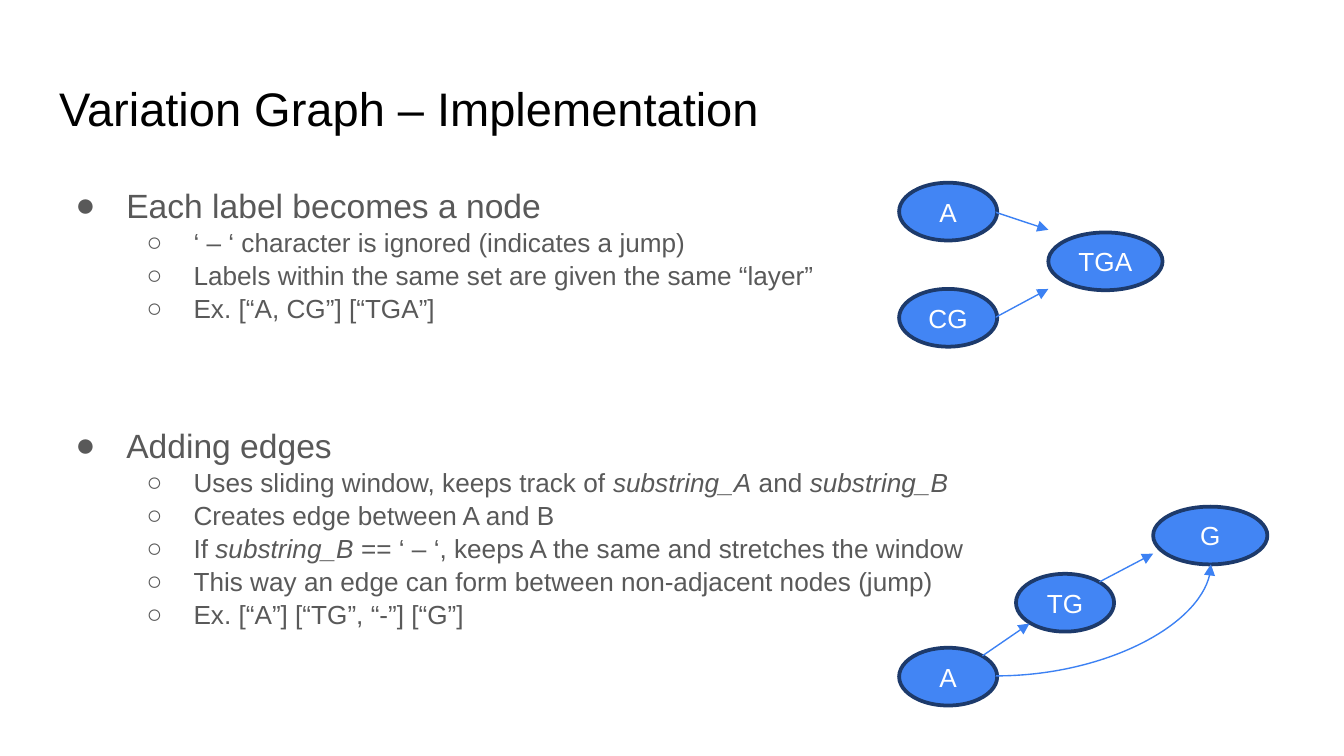
"""Build the slide on implementing a variation graph."""
from typing import NamedTuple

from pptx import Presentation
from pptx.dml.color import RGBColor
from pptx.enum.shapes import MSO_CONNECTOR as Conn, MSO_SHAPE as Geom
from pptx.enum.text import MSO_ANCHOR as Anchor, MSO_AUTO_SIZE as Fit, PP_ALIGN as Align
from pptx.oxml.ns import qn
from pptx.oxml.xmlchemy import OxmlElement
from pptx.util import Inches, Pt

NODE_HEIGHT = 0.43


class Node(NamedTuple):
    label: str
    left: float
    top: float
    width: float = 0.73


class Edge(NamedTuple):
    x1: float
    y1: float
    x2: float
    y2: float
    curved: bool = False


class Topic(NamedTuple):
    title: str
    points: list[str]
    before: float = 0


class Level(NamedTuple):
    bullet: str
    size: float
    margin: float
    hanging: float


LEVELS = [Level("●", 18, 0.5, 0.38), Level("○", 14, 1, 0.35)]

TOPICS = [
    Topic("Each label becomes a node", [
        "‘ – ‘ character is ignored (indicates a jump)",
        "Labels within the same set are given the same “layer”",
        "Ex. [“A, CG”] [“TGA”]",
    ]),
    Topic("Adding edges", [
        "Uses sliding window, keeps track of *substring_A* and *substring_B*",
        "Creates edge between A and B",
        "If *substring_B* == ‘ – ‘, keeps A the same and stretches the window",
        "This way an edge can form between non-adjacent nodes (jump)",
        "Ex. [“A”] [“TG”, “-”] [“G”]",
    ], before=53),
]

NODES = [
    Node("A", 6.69, 4.82), Node("TG", 7.56, 4.27), Node("G", 8.58, 3.77, 0.85),
    Node("A", 6.69, 1.36), Node("CG", 6.69, 2.15), Node("TGA", 7.8, 1.73, 0.85),
]

EDGES = [
    Edge(7.31, 4.88, 7.66, 4.64), Edge(8.18, 4.33, 8.58, 4.12),
    Edge(7.41, 1.58, 7.8, 1.71), Edge(7.41, 2.36, 7.8, 2.15),
    Edge(7.41, 5.03, 9.01, 4.2, curved=True),
]


def apply(target, **values) -> None:
    """Set each named attribute of the target."""
    for name, value in values.items():
        setattr(target, name, value)


def paint(color_format, color: str) -> None:
    """Give a colour format an RGB hex colour."""
    color_format.rgb = RGBColor.from_string(color)


def add_run(p, text: str, size: float, color: str, italic: bool = False) -> None:
    """Append a formatted run to a paragraph."""
    r = p.add_run()
    r.text = text
    apply(r.font, name="Arial", size=Pt(size), italic=italic)
    paint(r.font.color, color)


def place(sp, left: float, top: float, width: float, height: float, anchor):
    """Move a placeholder and return its prepared text frame."""
    box = dict(left=left, top=top, width=width, height=height)
    apply(sp, **{name: Inches(value) for name, value in box.items()})
    tf = sp.text_frame
    sides = ("margin_left", "margin_top", "margin_right", "margin_bottom")
    apply(tf, auto_size=Fit.NONE, vertical_anchor=anchor, word_wrap=True,
          **dict.fromkeys(sides, Inches(0.1)))
    return tf


def add_item(p, text: str, depth: int, before: float = 0) -> None:
    """Write a bulleted line whose starred parts are italic."""
    level = LEVELS[depth]
    apply(p, level=depth, line_spacing=1.05, space_before=Pt(before),
          space_after=Pt(0), alignment=Align.LEFT)
    pPr = p._p.get_or_add_pPr()
    pPr.set("marL", str(Inches(level.margin)))
    pPr.set("indent", str(-Inches(level.hanging)))
    bullet = OxmlElement("a:buChar")
    bullet.set("char", level.bullet)
    pPr.append(bullet)
    for i, part in enumerate(text.split("*")):
        if part:
            add_run(p, part, level.size, "595959", italic=i % 2 == 1)


def add_topics(tf, topics: list[Topic]) -> None:
    """Fill a text frame with topics and their points."""
    p = tf.paragraphs[0]
    for i, topic in enumerate(topics):
        add_item(p if i == 0 else tf.add_paragraph(), topic.title, 0, topic.before)
        for point in topic.points:
            add_item(tf.add_paragraph(), point, 1)


def add_node(s, node: Node) -> None:
    """Draw a labelled ellipse."""
    sp = s.shapes.add_shape(Geom.OVAL, Inches(node.left), Inches(node.top),
                            Inches(node.width), Inches(NODE_HEIGHT))
    sp.shadow.inherit = False
    sp.fill.solid()
    paint(sp.fill.fore_color, "4285F4")
    paint(sp.line.color, "1D3A6B")
    sp.line.width = Pt(2)
    tf = sp.text_frame
    apply(tf, vertical_anchor=Anchor.MIDDLE, word_wrap=False, margin_left=0, margin_right=0)
    p = tf.paragraphs[0]
    p.alignment = Align.CENTER
    add_run(p, node.label, 14, "FFFFFF")


def add_edge(s, edge: Edge) -> None:
    """Draw an arrow, straight or bent through a quarter turn."""
    kind = Conn.CURVE if edge.curved else Conn.STRAIGHT
    cxn = s.shapes.add_connector(kind, *map(Inches, edge[:4]))
    paint(cxn.line.color, "3C81F3")
    cxn.line.width = Pt(0.75)
    spPr = cxn._element.spPr
    if edge.curved:
        spPr.find(qn("a:prstGeom")).set("prst", "curvedConnector2")
    tail = OxmlElement("a:tailEnd")
    tail.set("type", "triangle")
    cxn.line._get_or_add_ln().append(tail)
    spPr.append(OxmlElement("a:effectLst"))


def main() -> None:
    """Build and save the presentation."""
    prs = Presentation()
    apply(prs, slide_width=Inches(10), slide_height=Inches(10) * 9 // 16)
    s = prs.slides.add_slide(prs.slide_layouts[1])
    title, body = s.placeholders
    p = place(title, 0.34, 0.49, 9.32, 0.63, Anchor.MIDDLE).paragraphs[0]
    p.alignment = Align.LEFT
    add_run(p, "Variation Graph – Implementation", 25.2, "000000")
    add_topics(place(body, 0.34, 1.26, 9.32, 3.74, Anchor.TOP), TOPICS)
    for node in NODES:
        add_node(s, node)
    for edge in EDGES:
        add_edge(s, edge)
    prs.save("out.pptx")


if __name__ == "__main__":
    main()
